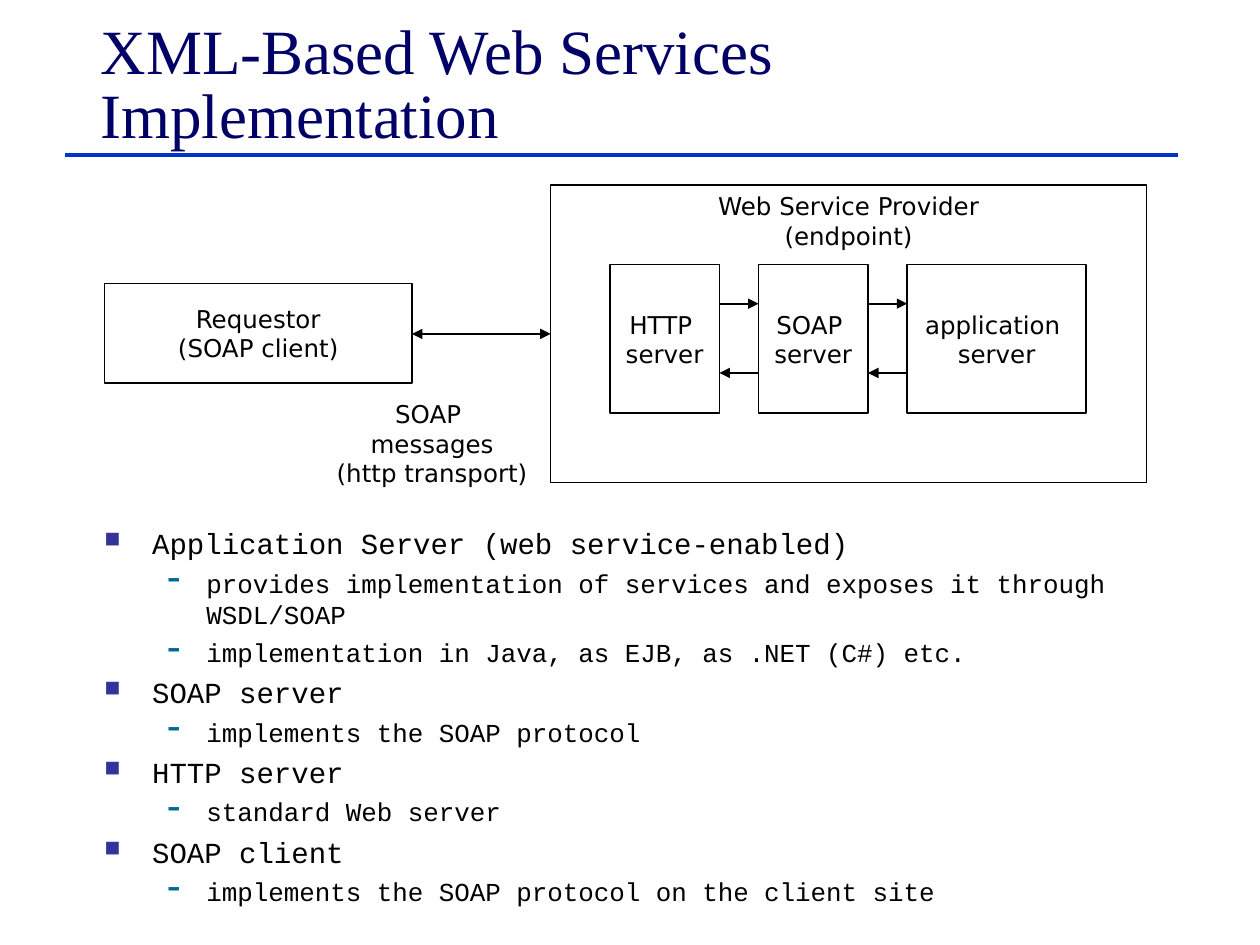
from dataclasses import dataclass

from lxml.etree import SubElement
from pptx import Presentation
from pptx.dml.color import RGBColor
from pptx.enum.shapes import MSO_CONNECTOR as Connector, MSO_SHAPE as Shape
from pptx.enum.text import MSO_ANCHOR as Anchor, PP_ALIGN as Align
from pptx.oxml.ns import qn
from pptx.util import Inches, Pt

BLACK = RGBColor(0x00, 0x00, 0x00)
WHITE = RGBColor(0xFF, 0xFF, 0xFF)
NAVY = RGBColor(0x00, 0x00, 0x66)
RULE_BLUE = RGBColor(0x00, 0x33, 0xCC)
SQUARE_BLUE = RGBColor(0x33, 0x33, 0x99)
DASH_BLUE = RGBColor(0x00, 0x66, 0x99)


@dataclass(frozen=True)
class Box:
    text: str
    left: float
    top: float
    width: float
    height: float
    anchor: Anchor = Anchor.MIDDLE


@dataclass(frozen=True)
class Arrow:
    start: float
    end: float
    y: float
    both_ends: bool = False


@dataclass(frozen=True)
class Level:
    size: float
    indent: float
    hanging: float
    bullet: str
    bullet_color: RGBColor
    bullet_percent: int


TOPIC = Level(16.6, 0.38, 0.38, "■", SQUARE_BLUE, 75)
DETAIL = Level(14.8, 0.81, 0.31, "-", DASH_BLUE, 150)

SERVER_TOP, SERVER_HEIGHT = 2.1, 1.18
REQUEST_Y, RESPONSE_Y = 2.41, 2.96

BOXES = [
    Box("Requestor\n(SOAP client)", 0.83, 2.25, 2.44, 0.79),
    Box("Web Service Provider\n(endpoint)", 4.37, 1.47, 4.73, 2.36, Anchor.TOP),
    Box("HTTP \nserver", 4.84, SERVER_TOP, 0.87, SERVER_HEIGHT),
    Box("SOAP \nserver", 6.02, SERVER_TOP, 0.87, SERVER_HEIGHT),
    Box("application \nserver", 7.2, SERVER_TOP, 1.42, SERVER_HEIGHT),
]
TRANSPORT_LABEL = Box("SOAP \nmessages\n(http transport)", 2.56, 3.12, 1.74, 0.8, Anchor.TOP)

ARROWS = [
    Arrow(3.27, 4.37, 2.65, both_ends=True),
    Arrow(5.71, 6.02, REQUEST_Y),
    Arrow(6.89, 7.2, REQUEST_Y),
    Arrow(7.2, 6.89, RESPONSE_Y),
    Arrow(6.02, 5.71, RESPONSE_Y),
]

OUTLINE = [
    (TOPIC, "Application Server (web service-enabled)"),
    (DETAIL, "provides implementation of services and exposes it through WSDL/SOAP"),
    (DETAIL, "implementation in Java, as EJB, as .NET (C#) etc."),
    (TOPIC, "SOAP server"),
    (DETAIL, "implements the SOAP protocol"),
    (TOPIC, "HTTP server"),
    (DETAIL, "standard Web server"),
    (TOPIC, "SOAP client"),
    (DETAIL, "implements the SOAP protocol on the client site"),
]


def style_font(paragraph, name: str, size: float, color: RGBColor) -> None:
    for run in paragraph.runs:
        run.font.name = name
        run.font.size = Pt(size)
        run.font.color.rgb = color


def add_text_box(slide, left: float, top: float, width: float, height: float):
    return slide.shapes.add_textbox(Inches(left), Inches(top), Inches(width), Inches(height))


def add_line(slide, start: float, end: float, y: float, color: RGBColor, weight: float):
    connector = slide.shapes.add_connector(
        Connector.STRAIGHT, Inches(start), Inches(y), Inches(end), Inches(y)
    )
    connector.line.color.rgb = color
    connector.line.width = Pt(weight)
    SubElement(connector._element.spPr, qn("a:effectLst"))
    return connector


def add_arrow(slide, arrow: Arrow) -> None:
    connector = add_line(slide, arrow.start, arrow.end, arrow.y, BLACK, 1)
    line = connector.line._get_or_add_ln()
    for tag in ("a:headEnd", "a:tailEnd") if arrow.both_ends else ("a:tailEnd",):
        SubElement(line, qn(tag), type="triangle")


def fill_label(shape, box: Box) -> None:
    text_frame = shape.text_frame
    text_frame.text = box.text
    text_frame.word_wrap = False
    text_frame.vertical_anchor = box.anchor
    for paragraph in text_frame.paragraphs:
        paragraph.alignment = Align.CENTER
        style_font(paragraph, "DejaVu Sans", 14, BLACK)


def add_box(slide, box: Box) -> None:
    shape = slide.shapes.add_shape(
        Shape.RECTANGLE, Inches(box.left), Inches(box.top), Inches(box.width), Inches(box.height)
    )
    shape.shadow.inherit = False
    shape.fill.background()
    shape.line.color.rgb = BLACK
    shape.line.width = Pt(1)
    fill_label(shape, box)


def add_title(slide) -> None:
    text_frame = add_text_box(slide, 0.7, 0, 8.5, 1.25).text_frame
    text_frame.text = "XML-Based Web Services Implementation"
    text_frame.word_wrap = True
    text_frame.vertical_anchor = Anchor.BOTTOM
    paragraph = text_frame.paragraphs[0]
    paragraph.line_spacing = 0.85
    style_font(paragraph, "Times New Roman", 36, NAVY)


def add_bullet(paragraph, level: Level) -> None:
    properties = paragraph._p.get_or_add_pPr()
    properties.set("marL", str(Inches(level.indent)))
    properties.set("indent", str(-Inches(level.hanging)))
    color = SubElement(properties, qn("a:buClr"))
    SubElement(color, qn("a:srgbClr"), val=str(level.bullet_color))
    SubElement(properties, qn("a:buSzPct"), val=str(level.bullet_percent * 1000))
    SubElement(properties, qn("a:buChar"), char=level.bullet)


def add_outline(slide) -> None:
    text_frame = add_text_box(slide, 0.73, 4.12, 8.5, 2.9).text_frame
    text_frame.text = "\n".join(text for _, text in OUTLINE)
    text_frame.word_wrap = True
    for index, (paragraph, (level, _)) in enumerate(zip(text_frame.paragraphs, OUTLINE)):
        paragraph.level = 1 if level is DETAIL else 0
        if index:
            paragraph.space_before = Pt(4)
        add_bullet(paragraph, level)
        style_font(paragraph, "Courier New", level.size, BLACK)


def main() -> None:
    presentation = Presentation()
    presentation.slide_width = Inches(10)
    presentation.slide_height = Inches(7.5)
    slide = presentation.slides.add_slide(presentation.slide_layouts[6])
    slide.background.fill.solid()
    slide.background.fill.fore_color.rgb = WHITE

    add_line(slide, 0.52, 9.35, 1.23, RULE_BLUE, 2.25)
    add_title(slide)
    add_outline(slide)
    for box in BOXES:
        add_box(slide, box)
    label = TRANSPORT_LABEL
    fill_label(add_text_box(slide, label.left, label.top, label.width, label.height), label)
    for arrow in ARROWS:
        add_arrow(slide, arrow)

    presentation.save("out.pptx")


if __name__ == "__main__":
    main()
